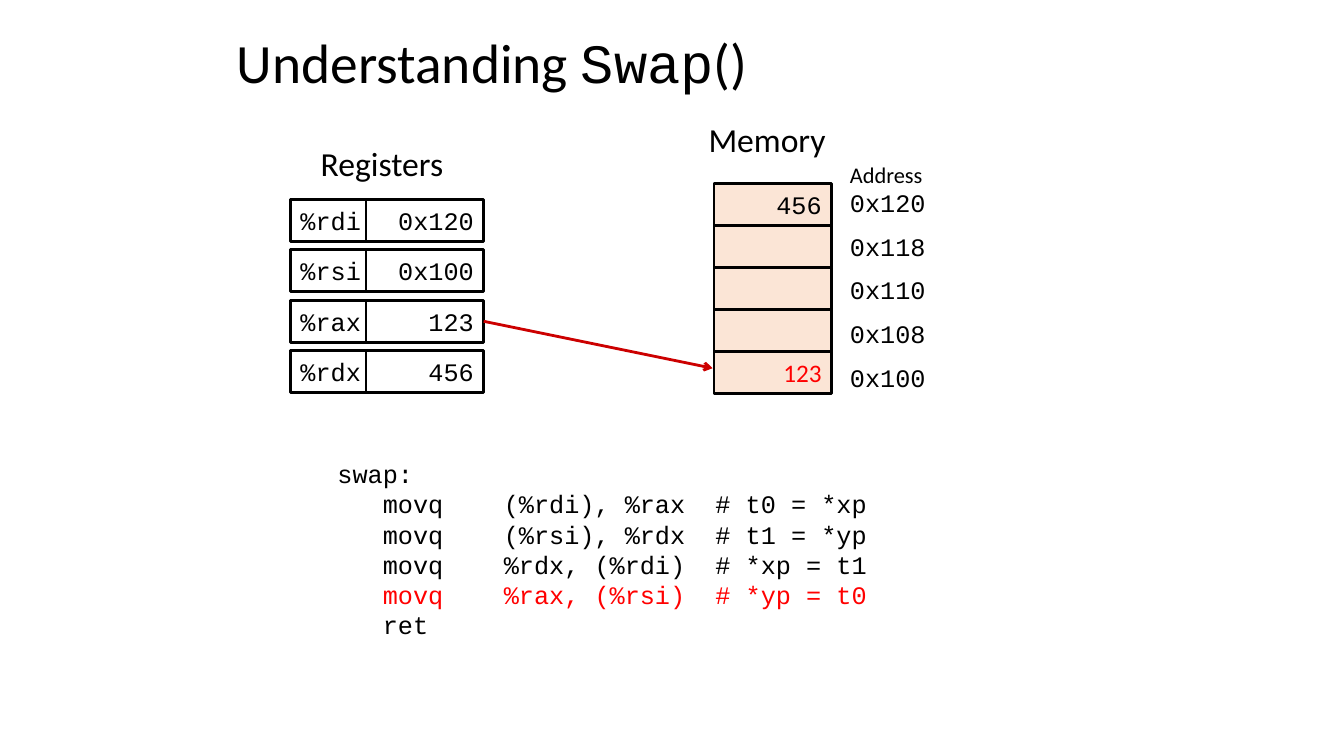
from dataclasses import dataclass

from lxml import etree
from pptx import Presentation
from pptx import util as u
from pptx.dml import color
from pptx.enum import shapes, text
from pptx.oxml import ns


@dataclass(frozen=True)
class Theme:
    ink: str = "000000"
    paper: str = "FFFFFF"
    memory: str = "FBE5D6"
    highlight: str = "FF0000"
    arrow: str = "CC0000"
    sans: str = "Calibri"
    mono: str = "Courier New"
    title: float = 39.6
    heading: float = 24
    body: float = 18
    caption: float = 16
    line: float = 2


THEME = Theme()
RIGHT = text.PP_ALIGN.RIGHT


def rgb(value):
    return color.RGBColor.from_string(value)


def apply(target, values):
    for name, value in values.items():
        setattr(target, name, value)


def add_run(paragraph, words, size=THEME.body, font=THEME.mono, ink=THEME.ink):
    run = paragraph.add_run()
    run.text = words
    apply(run.font, {"size": u.Pt(size), "name": font})
    run.font.color.rgb = rgb(ink)


def add_text(slide, box, words=None, anchor=text.MSO_ANCHOR.TOP, **style):
    shape = slide.shapes.add_textbox(*map(u.Pt, box))
    apply(shape.text_frame, {"word_wrap": True, "vertical_anchor": anchor})
    if words:
        add_run(shape.text_frame.paragraphs[0], words, **style)
    return shape.text_frame


def add_cell(slide, box, words, fill, align=RIGHT, **style):
    shape = slide.shapes.add_shape(shapes.MSO_SHAPE.RECTANGLE, *map(u.Pt, box))
    shape.shadow.inherit = False
    shape.fill.solid()
    shape.fill.fore_color.rgb = rgb(fill)
    shape.line.color.rgb = rgb(THEME.ink)
    shape.line.width = u.Pt(THEME.line)
    apply(shape.text_frame,
          {"word_wrap": False, "vertical_anchor": text.MSO_ANCHOR.MIDDLE})
    paragraph = shape.text_frame.paragraphs[0]
    paragraph.alignment = align
    if words:
        add_run(paragraph, words, **style)
    return shape


def add_title(slide, box):
    frame = add_text(slide, box, anchor=text.MSO_ANCHOR.MIDDLE)
    paragraph = frame.paragraphs[0]
    paragraph.line_spacing = 0.9
    for words, font in (("Understanding ", THEME.sans), ("Swap", THEME.mono),
                        ("()", THEME.sans)):
        add_run(paragraph, words, THEME.title, font)


def add_registers(slide, box, registers):
    """Return the value cells by register name."""
    left, top, width, height = box
    name_width, cell_height, first_row = 54, 30, 44
    pitch = (height - first_row - cell_height) / (len(registers) - 1)
    add_text(slide, (left + 14.5, top, 106.5, 36), "Registers",
             size=THEME.heading, font=THEME.sans)
    values = {}
    for row, (name, value) in enumerate(registers):
        y = top + first_row + row * pitch
        add_cell(slide, (left, y, name_width, cell_height), name, THEME.paper,
                 text.PP_ALIGN.LEFT)
        values[name] = add_cell(
            slide, (left + name_width, y, width - name_width, cell_height),
            value, THEME.paper)
    return values


def add_memory(slide, box, words):
    left, top, width, height = box
    cell_width, first_row, address_pitch = 84, 49.5, 31.2
    cell_height = (height - first_row) / len(words)
    address_left = left + cell_width + 6
    address_width = width - cell_width - 6
    add_text(slide, (left - 11, top, 101, 36), "Memory",
             size=THEME.heading, font=THEME.sans)
    add_text(slide, (address_left, top + 30, address_width, 27), "Address",
             size=THEME.caption, font=THEME.sans)
    for row, (address, value, style) in enumerate(words):
        add_cell(slide, (left, top + first_row + row * cell_height,
                         cell_width, cell_height), value, THEME.memory, **style)
        add_text(slide, (address_left, top + 48.7 + row * address_pitch,
                         address_width, 29), address)


def add_store_arrow(slide, source, end):
    connector = slide.shapes.add_connector(
        shapes.MSO_CONNECTOR.STRAIGHT, 0, 0, *map(u.Pt, end))
    connector.begin_connect(source, 3)
    connector.line.color.rgb = rgb(THEME.arrow)
    connector.line.width = u.Pt(THEME.line)
    line = connector.line._get_or_add_ln()
    etree.SubElement(line, ns.qn("a:tailEnd"), type="arrow")
    etree.SubElement(connector._element.spPr, ns.qn("a:effectLst"))


def add_code(slide, box, lines, current):
    frame = add_text(slide, box)
    # Columns of the listing: opcode, operands, remark
    columns = (32.4, 118.8, 270)
    for row, fields in enumerate(lines):
        paragraph = frame.add_paragraph() if row else frame.paragraphs[0]
        tabs = etree.SubElement(paragraph._p.get_or_add_pPr(), ns.qn("a:tabLst"))
        for column in columns:
            etree.SubElement(tabs, ns.qn("a:tab"), pos=str(u.Pt(column)), algn="l")
        add_run(paragraph, "\t".join(fields),
                ink=THEME.highlight if row == current else THEME.ink)


def main():
    presentation = Presentation()
    apply(presentation, {"slide_width": u.Pt(960), "slide_height": u.Pt(540)})
    slide = presentation.slides.add_slide(presentation.slide_layouts[6])

    add_title(slide, (162, 24, 502, 45))

    # Machine state
    add_memory(slide, (510, 81.5, 186, 199.5), (
        ("0x120", "456", {}),
        ("0x118", "", {}),
        ("0x110", "", {}),
        ("0x108", "", {}),
        ("0x100", "123", {"font": THEME.sans, "ink": THEME.highlight}),
    ))
    values = add_registers(slide, (207.5, 98.5, 138, 182), (
        ("%rdi", "0x120"), ("%rsi", "0x100"), ("%rax", "123"), ("%rdx", "456")))
    add_store_arrow(slide, values["%rax"], (509, 263))

    # Assembly listing
    add_code(slide, (234, 324, 462, 138), (
        ("swap:",),
        ("", "movq", "(%rdi), %rax", "# t0 = *xp"),
        ("", "movq", "(%rsi), %rdx", "# t1 = *yp"),
        ("", "movq", "%rdx, (%rdi)", "# *xp = t1"),
        ("", "movq", "%rax, (%rsi)", "# *yp = t0"),
        ("", "ret"),
    ), current=4)

    presentation.save("out.pptx")


if __name__ == "__main__":
    main()
